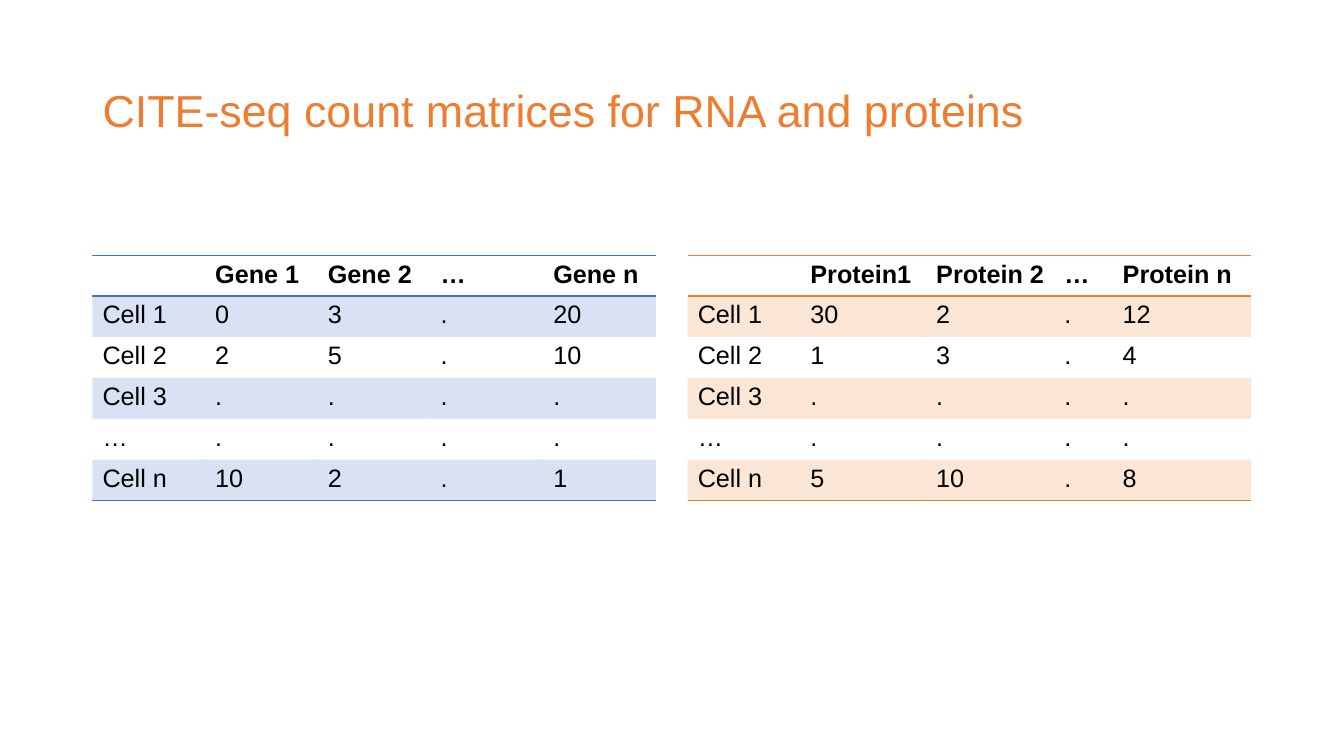
from pptx import Presentation
from pptx.dml.color import RGBColor
from pptx.enum.text import MSO_ANCHOR, MSO_AUTO_SIZE, PP_ALIGN
from pptx.oxml import parse_xml
from pptx.oxml.ns import nsdecls, qn
from pptx.util import Cm, Pt

LEFT = PP_ALIGN.LEFT
MIDDLE = MSO_ANCHOR.MIDDLE
FIXED = MSO_AUTO_SIZE.NONE
FONT = "Arial"
BLUE, ORANGE, BLACK = "4472C4", "ED7D31", "000000"
PLAIN = "{2D5ABB26-0587-4C30-8999-92F81FD0307C}"  # no style, no grid

GENES = [
    ["", "Gene 1", "Gene 2", "…", "Gene n"],
    ["Cell 1", "0", "3", ".", "20"],
    ["Cell 2", "2", "5", ".", "10"],
    ["Cell 3", ".", ".", ".", "."],
    ["…", ".", ".", ".", "."],
    ["Cell n", "10", "2", ".", "1"],
]
PROTEINS = [
    ["", "Protein1", "Protein 2", "…", "Protein n"],
    ["Cell 1", "30", "2", ".", "12"],
    ["Cell 2", "1", "3", ".", "4"],
    ["Cell 3", ".", ".", ".", "."],
    ["…", ".", ".", ".", "."],
    ["Cell n", "5", "10", ".", "8"],
]


def color(code):
    return RGBColor.from_string(code)


def add_run(par, text, size, code, bold=False):
    run = par.add_run()
    run.text = text
    font = run.font
    font.name, font.size, font.bold = FONT, Pt(size), bold
    font.color.rgb = color(code)


def add_title(slide, text, box):
    title = slide.shapes.title
    title.left, title.top, title.width, title.height = map(Cm, box)
    frame = title.text_frame
    frame.word_wrap = True
    frame.auto_size = FIXED
    frame.vertical_anchor = MIDDLE
    par = frame.paragraphs[0]
    par.alignment = LEFT
    par.line_spacing = 0.9
    add_run(par, text, 32, ORANGE)


def rule(cell, side, code):
    """Draw a 1 pt border on side T or B of the cell; call before its fill."""
    cell._tc.get_or_add_tcPr().append(parse_xml(
        f'<a:ln{side} {nsdecls("a")} w="{Pt(1)}"><a:solidFill>'
        f'<a:srgbClr val="{code}"/></a:solidFill></a:ln{side}>'))


def tint(cell, code):
    """Fill the cell with the colour at 20 % opacity."""
    cell.fill.solid()
    cell.fill.fore_color.rgb = color(code)
    shade = cell._tc.tcPr.find(qn("a:solidFill"))[0]
    shade.append(parse_xml(f'<a:alpha {nsdecls("a")} val="20000"/>'))


def add_matrix(slide, rows, widths, box, code):
    last = len(rows) - 1
    table = slide.shapes.add_table(len(rows), len(widths), *map(Cm, box)).table
    table.first_row = table.horz_banding = False
    table._tbl.tblPr.find(qn("a:tableStyleId")).text = PLAIN
    for col, width in zip(table.columns, widths):
        col.width = Cm(width)
    for r, row in enumerate(rows):
        table.rows[r].height = Cm(box[3] / len(rows))
        for c, text in enumerate(row):
            cell = table.cell(r, c)
            if r == 0:
                rule(cell, "T", code)
            if r in (0, last):
                rule(cell, "B", code)
            if r % 2:
                tint(cell, code)
            else:
                cell.fill.background()
            if text:
                add_run(cell.text_frame.paragraphs[0], text, 18, BLACK, r == 0)


def main():
    deck = Presentation()
    deck.slide_width, deck.slide_height = Cm(33.87), Cm(19.05)
    slide = deck.slides.add_slide(deck.slide_layouts[5])
    left, top, width, height = 2.33, 6.43, 14.2, 6.18
    add_title(slide, "CITE-seq count matrices for RNA and proteins",
              (left, 1.01, 29.21, 3.68))
    add_matrix(slide, GENES, [width / 5] * 5,
               (left, top, width, height), BLUE)
    add_matrix(slide, PROTEINS, [2.84, 3.17, 3.23, 1.47, 3.49],
               (17.33, top, width, height), ORANGE)
    deck.save("out.pptx")


if __name__ == "__main__":
    main()
